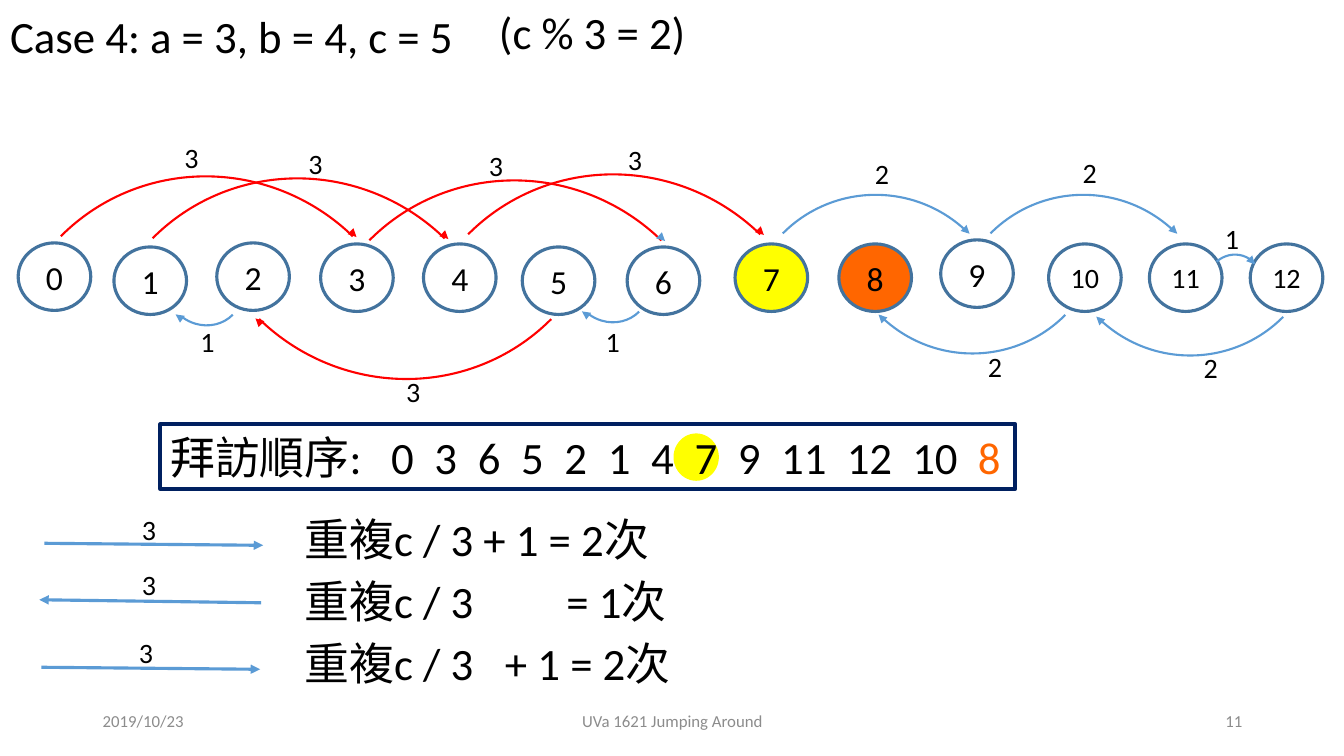
from dataclasses import dataclass
from math import cos, radians, sin

from lxml import etree
from pptx import Presentation
from pptx.dml.color import RGBColor
from pptx.enum.shapes import MSO_CONNECTOR, MSO_SHAPE
from pptx.enum.text import MSO_ANCHOR, PP_ALIGN
from pptx.oxml.ns import qn
from pptx.util import Pt

PX = 9144  # 100 px to the inch
LEFT, CENTER, RIGHT = PP_ALIGN.LEFT, PP_ALIGN.CENTER, PP_ALIGN.RIGHT
TOP, MIDDLE = MSO_ANCHOR.TOP, MSO_ANCHOR.MIDDLE
OVAL, RECTANGLE, ARC = MSO_SHAPE.OVAL, MSO_SHAPE.RECTANGLE, MSO_SHAPE.ARC
STRAIGHT = MSO_CONNECTOR.STRAIGHT


@dataclass(frozen=True)
class Theme:
    latin: str = "Calibri"
    chinese: str = "Noto Sans CJK SC"
    text: str = "000000"
    footer: str = "8C8C8C"
    node_line: str = "43739E"
    blue: str = "5B9BD5"
    red: str = "FF0000"
    navy: str = "002060"
    yellow: str = "FFFF00"
    orange: str = "FF6600"
    heading_size: int = 32
    node_size: int = 24
    label_size: int = 20
    footer_size: int = 12


THEME = Theme()

# Left and top of each stone, in walking order
NODES = [(18, 107), (113, 111), (215, 107), (318, 108), (420, 108),
         (518, 111), (622, 111), (729, 108), (832, 108), (933, 104),
         (1040, 108), (1140, 108), (1240, 108)]
NODE_FILLS = {7: THEME.yellow, 8: THEME.orange}

# Width, height, end angle and tip length of each kind of arc
ARC_KINDS = {"large": (408, 416, 359.32, 5), "medium": (260, 261, 359.32, 3),
             "small": (75, 80, 350.73, 8), "tiny": (54, 52, 359.32, 1)}
OVER, UNDER = 314.8, 134.8

# Kind, rotation, arc position, arc colour, tip colour, label, label position
JUMPS = [
    ("large", OVER, (408, 37), THEME.red, THEME.red, "3", (613, 2)),
    ("large", OVER, (4, 39), THEME.red, THEME.red, "3", (173, 0)),
    ("large", OVER, (95, 41), THEME.red, THEME.red, "3", (296, 6)),
    ("large", OVER, (310, 43), THEME.red, THEME.blue, "3", (475, 8)),
    ("large", UNDER, (195, -172), THEME.red, THEME.red, "3", (393, 233)),
    ("medium", UNDER, (1050, -42), THEME.blue, THEME.blue, "2", (1184, 209)),
    ("medium", UNDER, (834, -44), THEME.blue, THEME.blue, "2", (970, 208)),
    ("medium", OVER, (739, 59), THEME.blue, THEME.blue, "2", (858, 16)),
    ("medium", OVER, (945, 59), THEME.blue, THEME.blue, "2", (1064, 15)),
    ("tiny", 318.5, (1197, 119), THEME.blue, THEME.blue, "1", (1205, 81)),
    ("small", UNDER, (568, 107), THEME.blue, THEME.blue, "1", (591, 183)),
    ("small", UNDER, (165, 110), THEME.blue, THEME.blue, "1", (189, 183)),
]

VISITS = [0, 3, 6, 5, 2, 1, 4, 7, 9, 11, 12, 10, 8]

# Arrow start, arrow end, label position, formula top, formula, tab stops
REPEATS = [
    ((5, 36), (222, 38), (92, 1), 0, "c / 3 + 1 = 2", []),
    ((220, 95), (0, 92), (92, 55), 61, "c / 3\t= 1", [260]),
    ((2, 159), (219, 161), (89, 123), 123, "c / 3\t+ 1 = 2", [199]),
]


def emu(*lengths):
    return [round(length * PX) for length in lengths]


def color(value):
    return RGBColor.from_string(value)


def set_runs(shape, pieces, size, align=LEFT, anchor=TOP, tabs=()):
    """Fill one paragraph with (text, font name, colour) pieces."""
    frame = shape.text_frame
    frame.word_wrap = True
    frame.vertical_anchor = anchor
    paragraph = frame.paragraphs[0]
    paragraph.alignment = align
    if tabs:
        tab_list = etree.SubElement(paragraph._p.get_or_add_pPr(), qn("a:tabLst"))
        for position in tabs:
            etree.SubElement(tab_list, qn("a:tab"), pos=str(position * PX), algn="l")
    for text, font_name, value in pieces:
        run = paragraph.add_run()
        run.text = text
        run.font.size = Pt(size)
        run.font.name = font_name
        run.font.color.rgb = color(value)
        if font_name == THEME.chinese:
            etree.SubElement(run.font._element, qn("a:ea"), typeface=font_name)


def add_text(slide, box, text, size, value=THEME.text, align=LEFT, anchor=TOP):
    shape = slide.shapes.add_textbox(*emu(*box))
    set_runs(shape, [(text, THEME.latin, value)], size, align, anchor)


def add_label(slide, left, top, text):
    add_text(slide, (left, top, 56, 44), text, THEME.label_size)


def add_figure(slide, kind, box, fill=None, line=None, width=1.5):
    shape = slide.shapes.add_shape(kind, *emu(*box))
    shape.shadow.inherit = False
    if fill:
        shape.fill.solid()
        shape.fill.fore_color.rgb = color(fill)
    else:
        shape.fill.background()
    if line:
        shape.line.color.rgb = color(line)
        shape.line.width = Pt(width)
    else:
        shape.line.fill.background()
    return shape


def add_arrow(slide, start, end, value, width):
    arrow = slide.shapes.add_connector(STRAIGHT, *emu(*start, *end))
    arrow.line.color.rgb = color(value)
    arrow.line.width = Pt(width)
    etree.SubElement(arrow.line._get_or_add_ln(), qn("a:tailEnd"), type="triangle")
    etree.SubElement(arrow._element.spPr, qn("a:effectLst"))


def add_jump(slide, kind, rotation, left, top, arc_color, tip_color):
    """Draw an arc and a short arrow that leaves its end along the tangent."""
    width, height, end_angle, tip = ARC_KINDS[kind]
    arc = add_figure(slide, ARC, (left, top, width, height), line=arc_color)
    arc.rotation = rotation
    arc.adjustments[0] = 270 * 0.6
    arc.adjustments[1] = end_angle * 0.6
    angle = radians(rotation + end_angle)
    x = left + width / 2 + width / 2 * cos(angle)
    y = top + height / 2 + height / 2 * sin(angle)
    add_arrow(slide, (x, y), (x - tip * sin(angle), y + tip * cos(angle)), tip_color, 0.5)


def heading(slide, left, top):
    title = slide.shapes.title
    title.left, title.top, title.width, title.height = emu(left, top + 4, 476, 64)
    set_runs(title, [("Case 4: a = 3, b = 4, c = 5", THEME.latin, THEME.text)],
             THEME.heading_size)
    add_text(slide, (left + 485, top, 391, 64), "(c % 3 = 2)", THEME.heading_size)


def jump_diagram(slide, left, top):
    for number, (x, y) in enumerate(NODES):
        node = add_figure(slide, OVAL, (left + x, top + y, 72, 67),
                          NODE_FILLS.get(number), THEME.node_line, 2.25)
        size = THEME.node_size if number < 10 else THEME.label_size
        set_runs(node, [(str(number), THEME.latin, THEME.text)], size, CENTER, MIDDLE)
    for kind, rotation, (x, y), arc_color, tip_color, text, (label_x, label_y) in JUMPS:
        add_jump(slide, kind, rotation, left + x, top + y, arc_color, tip_color)
        add_label(slide, left + label_x, top + label_y, text)


def visiting_order(slide, left, top):
    add_figure(slide, OVAL, (left + 509, top + 9, 45, 47), THEME.yellow)
    frame = add_figure(slide, RECTANGLE, (left, top, 848, 64), line=THEME.navy, width=3)
    tabs = [219]
    for number in VISITS[:-1]:
        tabs.append(tabs[-1] + (43 if number < 10 else 65))
    *earlier, last = map(str, VISITS)
    set_runs(frame, [("拜訪順序", THEME.chinese, THEME.text),
                     (":\t" + "\t".join(earlier) + "\t", THEME.latin, THEME.text),
                     (last, THEME.latin, THEME.orange)], THEME.heading_size, tabs=tabs)


def repeat_counts(slide, left, top):
    for start, end, label, formula_top, formula, tabs in REPEATS:
        add_arrow(slide, (left + start[0], top + start[1]),
                  (left + end[0], top + end[1]), THEME.blue, 2.25)
        add_label(slide, left + label[0], top + label[1], "3")
        box = slide.shapes.add_textbox(*emu(left + 253, top + formula_top, 397, 64))
        set_runs(box, [("重複", THEME.chinese, THEME.text),
                       (formula, THEME.latin, THEME.text),
                       ("次", THEME.chinese, THEME.text)], THEME.heading_size, tabs=tabs)


def footer(slide, left, top):
    for x, width, text, align in [(0, 300, "2019/10/23", LEFT),
                                  (350, 450, "UVa 1621 Jumping Around", CENTER),
                                  (850, 300, "11", RIGHT)]:
        add_text(slide, (left + x, top, width, 40), text, THEME.footer_size,
                 THEME.footer, align, MIDDLE)


def main():
    presentation = Presentation()
    presentation.slide_width, presentation.slide_height = emu(1333, 750)
    slide = presentation.slides.add_slide(presentation.slide_layouts[5])
    heading(slide, 0, 0)
    jump_diagram(slide, 0, 134)
    visiting_order(slide, 159, 421)
    repeat_counts(slide, 39, 503)
    footer(slide, 92, 695)
    presentation.save("out.pptx")


if __name__ == "__main__":
    main()
